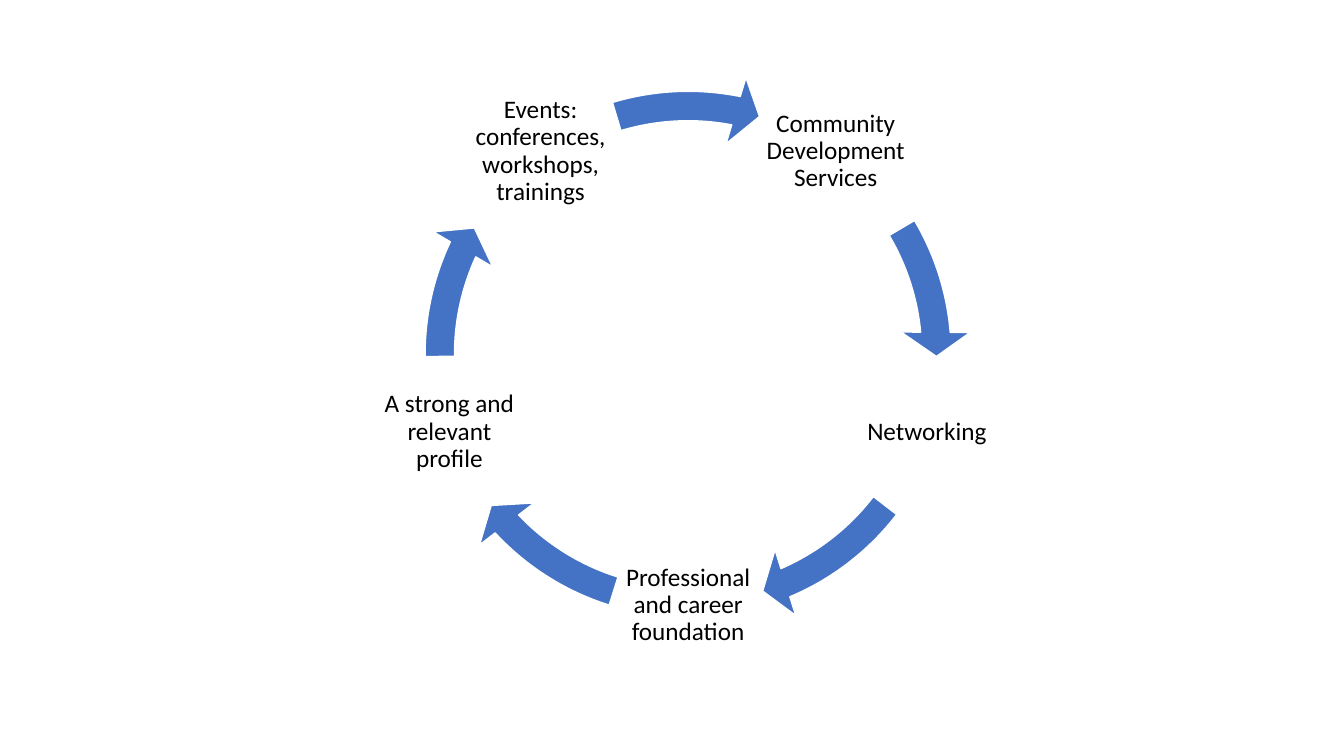
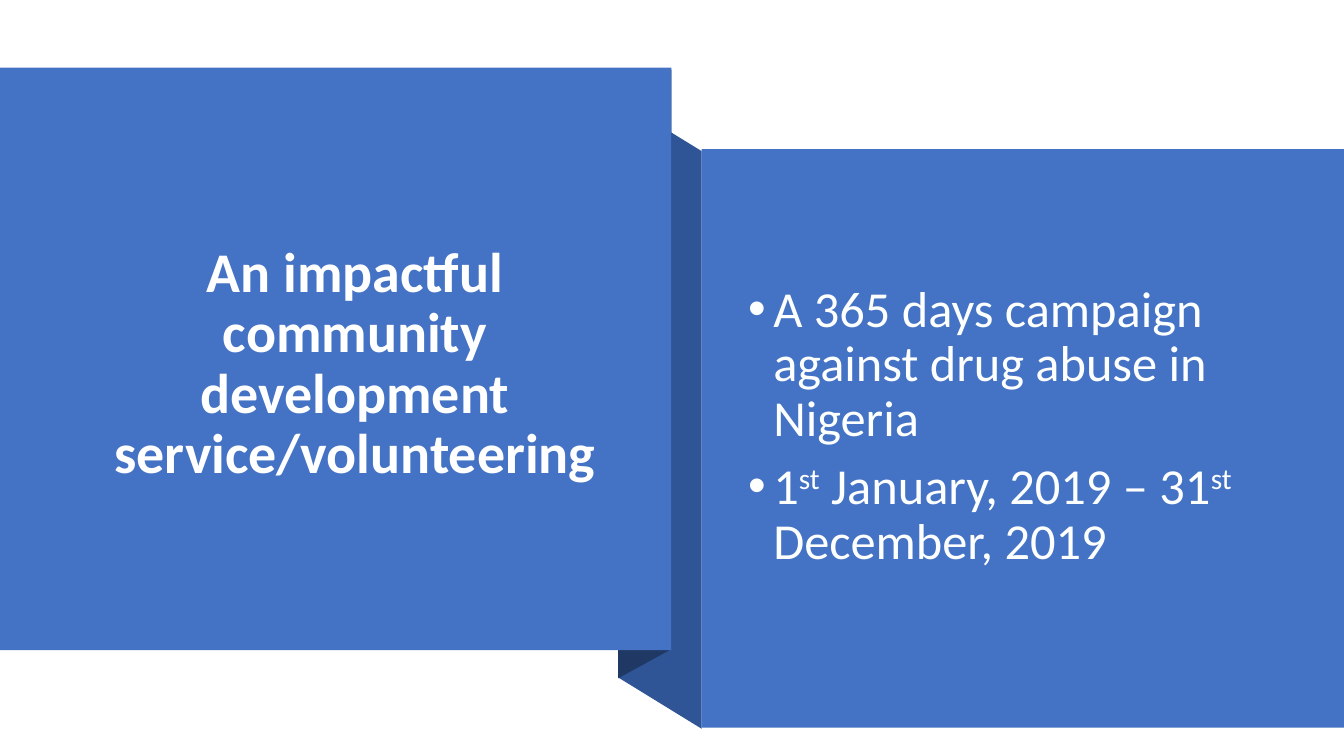
"""Build two slides: a cycle of career steps and a folded-ribbon title with a list."""
from math import cos, radians, sin

from lxml import etree
from pptx import Presentation
from pptx.dml.color import RGBColor
from pptx.enum.shapes import MSO_SHAPE
from pptx.enum.text import MSO_ANCHOR, MSO_AUTO_SIZE, PP_ALIGN
from pptx.oxml.ns import qn
from pptx.util import Inches, Pt

BLUE = RGBColor(0x44, 0x72, 0xC4)
MID_BLUE = RGBColor(0x2F, 0x55, 0x97)
DARK_BLUE = RGBColor(0x20, 0x38, 0x64)
BLACK = RGBColor(0, 0, 0)
WHITE = RGBColor(0xFF, 0xFF, 0xFF)
OFF_WHITE = RGBColor(0xFE, 0xFF, 0xFF)
FONT = "Calibri"

RECT = MSO_SHAPE.RECTANGLE
CIRCULAR_ARROW = MSO_SHAPE.CIRCULAR_ARROW
MIDDLE = MSO_ANCHOR.MIDDLE
NO_AUTOFIT = MSO_AUTO_SIZE.NONE
CENTER = PP_ALIGN.CENTER
LEFT = PP_ALIGN.LEFT


def add_run(p, text, size=18, color=BLACK, bold=False, align=CENTER, raised=False):
    """Append formatted text to a paragraph."""
    p.alignment = align
    p.line_spacing = 0.9
    r = p.add_run()
    r.text = text
    r.font.name = FONT
    r.font.size = Pt(size)
    r.font.bold = bold
    r.font.color.rgb = color
    if raised:
        r.font._element.set("baseline", "30000")


def paint(sp, color):
    """Give a shape a flat fill with no line or shadow."""
    sp.shadow.inherit = False
    sp.fill.solid()
    sp.fill.fore_color.rgb = color
    sp.line.fill.background()


prs = Presentation()
prs.slide_width = Inches(13.33)
prs.slide_height = Inches(7.5)

s = prs.slides.add_slide(prs.slide_layouts[6])
CENTER_X, CENTER_Y = 6.825, 3.515
NODE_RADIUS, NODE_SIZE, RING_SIZE = 2.49, 1.49, 5.61
steps = [
    ("Community Development Services", 212.95, 197.65),
    ("Networking", 40.16, 22.52),
    ("Professional and career foundation", 82.13, 64.48),
    ("A strong and relevant profile", 123.0, 107.7),
    ("Events: conferences, workshops, trainings", 168.67, 151.97),
]
for i, (text, end, start) in enumerate(steps):
    angle = radians(-54 + i * 360 / len(steps))
    x = CENTER_X + NODE_RADIUS * cos(angle) - NODE_SIZE / 2
    y = CENTER_Y + NODE_RADIUS * sin(angle) - NODE_SIZE / 2
    sp = s.shapes.add_textbox(Inches(x), Inches(y), Inches(NODE_SIZE), Inches(NODE_SIZE))
    tf = sp.text_frame
    tf.word_wrap = True
    tf.vertical_anchor = MIDDLE
    tf.margin_left = tf.margin_right = tf.margin_top = tf.margin_bottom = Inches(0.03)
    add_run(tf.paragraphs[0], text)

    sp = s.shapes.add_shape(
        CIRCULAR_ARROW, Inches(CENTER_X - RING_SIZE / 2), Inches(CENTER_Y - RING_SIZE / 2),
        Inches(RING_SIZE), Inches(RING_SIZE))
    paint(sp, BLUE)
    sp.line.color.rgb = WHITE
    sp.line.width = Pt(1)
    for j, value in enumerate((0.052, 3.355, end, start, 0.061)):
        sp.adjustments[j] = value

s = prs.slides.add_slide(prs.slide_layouts[1])
folds = [
    (MID_BLUE, [(6.96, 7.23), (6.13, 6.72), (6.13, 0.99), (6.96, 1.5)]),
    (DARK_BLUE, [(6.66, 6.44), (6.13, 6.73), (6.13, 0.98), (6.66, 0.69)]),
]
for color, points in folds:
    corners = [(Inches(x), Inches(y)) for x, y in points]
    builder = s.shapes.build_freeform(*corners[0])
    builder.add_line_segments(corners[1:], close=True)
    paint(builder.convert_to_shape(), color)

title, body = s.shapes.title, s.placeholders[1]
panels = [
    ((0, 0.67, 6.66, 5.78), title, (0.95, 1.32, 5.14, 4.6)),
    ((6.96, 1.48, 6.37, 5.74), body, (7.32, 1.85, 5.14, 4.77)),
]
for panel_box, ph, text_box in panels:
    paint(s.shapes.add_shape(RECT, *map(Inches, panel_box)), BLUE)
    ph.left, ph.top, ph.width, ph.height = map(Inches, text_box)
    s.shapes._spTree.append(ph._element)
    tf = ph.text_frame
    tf.word_wrap = True
    tf.auto_size = NO_AUTOFIT
    tf.vertical_anchor = MIDDLE

add_run(title.text_frame.paragraphs[0], "An impactful community development service/volunteering",
        size=40, color=WHITE, bold=True)

bullets = [
    [("A 365 days campaign against drug abuse in Nigeria", False)],
    [("1", False), ("st", True), (" January, 2019 – 31", False), ("st", True),
     (" December, 2019", False)],
]
tf = body.text_frame
for i, runs in enumerate(bullets):
    p = tf.add_paragraph() if i else tf.paragraphs[0]
    p.space_before = Pt(10 if i else 0)
    pPr = p._p.get_or_add_pPr()
    pPr.set("marL", str(Inches(0.25)))
    pPr.set("indent", str(-Inches(0.25)))
    etree.SubElement(pPr, qn("a:buFont")).set("typeface", "Arial")
    etree.SubElement(pPr, qn("a:buChar")).set("char", "•")
    for text, raised in runs:
        add_run(p, text, size=36, color=OFF_WHITE, align=LEFT, raised=raised)

prs.save("out.pptx")
